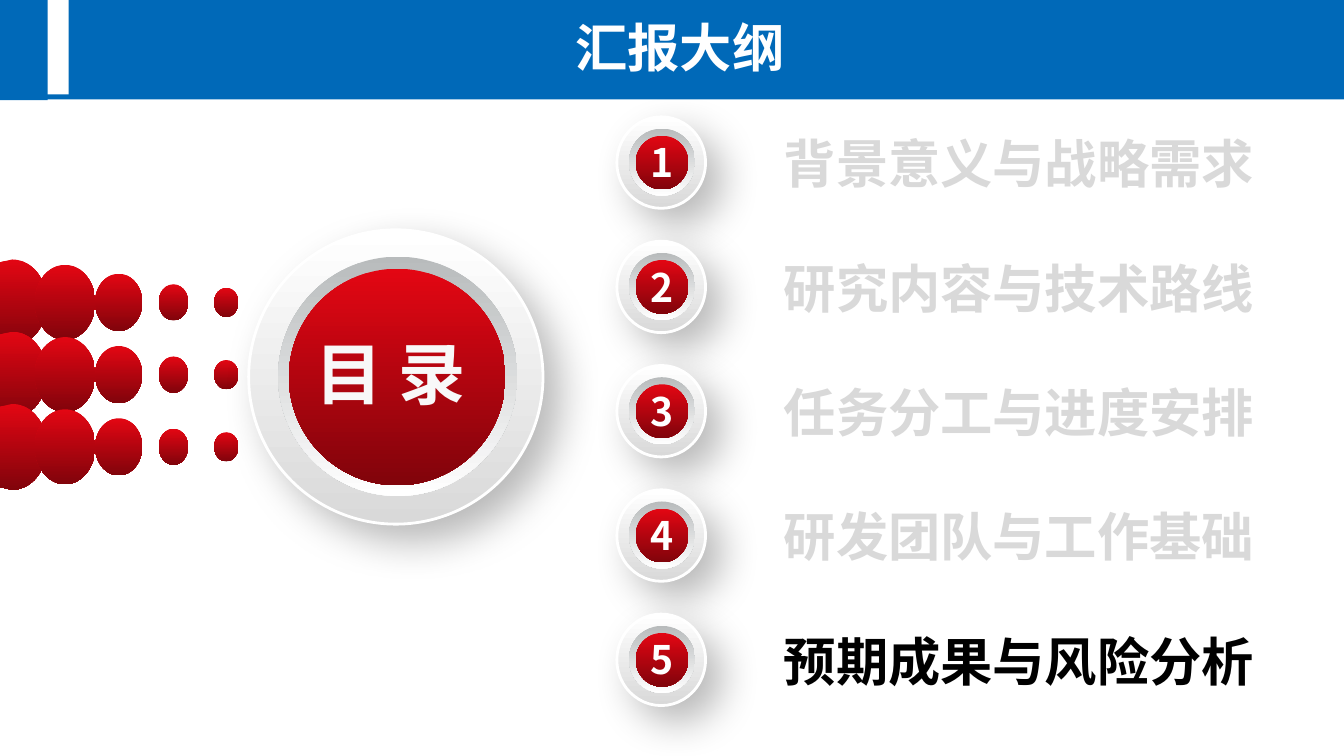
import math
import pptx
import pptx.util
import pptx.dml.color
import pptx.enum.shapes
import pptx.enum.text
import pptx.oxml
from pptx.oxml import ns

Pt = pptx.util.Pt
RGB = pptx.dml.color.RGBColor.from_string
SHAPE = pptx.enum.shapes.MSO_SHAPE
ALIGN = pptx.enum.text.PP_ALIGN

COLORS = {
    "blue": "0069B8",
    "red": "E30613",
    "dark_red": "81040B",
    "white": "FFFFFF",
    "off_white": "F8F8F8",
    "pale": "D9D9D9",
    "groove": "B8BBBC",
    "black": "000000",
}

presentation = pptx.Presentation()
presentation.slide_width = Pt(720)
presentation.slide_height = Pt(405)
slide = presentation.slides.add_slide(presentation.slide_layouts[6])


def add_text(text, box, size, color, font="Arial", align=ALIGN.LEFT, wrap=True, margin=None):
    shape = slide.shapes.add_textbox(*map(Pt, box))
    frame = shape.text_frame
    frame.word_wrap = wrap
    frame.vertical_anchor = pptx.enum.text.MSO_ANCHOR.MIDDLE
    if margin is not None:
        frame.margin_left = frame.margin_right = Pt(margin)
        frame.margin_top = frame.margin_bottom = Pt(margin)
    paragraph = frame.paragraphs[0]
    paragraph.alignment = align
    run = paragraph.add_run()
    run.text = text
    run.font.size = Pt(size)
    run.font.bold = True
    run.font.name = font
    run.font.color.rgb = RGB(COLORS[color])
    east_asian = run.font._element.makeelement(ns.qn("a:ea"), {"typeface": "Noto Sans CJK SC"})
    run.font._element.append(east_asian)


def paint(shape, top, bottom):
    shape.shadow.inherit = False
    shape.line.fill.background()
    if top == bottom:
        shape.fill.solid()
        shape.fill.fore_color.rgb = RGB(COLORS[top])
        return
    shape.fill.gradient()
    shape.fill.gradient_angle = 270
    for stop, color in zip(shape.fill.gradient_stops, (top, bottom)):
        stop.color.rgb = RGB(COLORS[color])


for box in [(0, 0, 25.5, 53.7), (0, 50.5, 720, 2.8), (36.7, 0, 683.3, 51)]:
    paint(slide.shapes.add_shape(SHAPE.RECTANGLE, *map(Pt, box)), "blue", "blue")
add_text("汇报大纲", (8.6, 4.3, 711.4, 41), 28, "white", align=ALIGN.CENTER)

DOTS = [(34.85, 32.4, 40.2), (63.6, 25.2, 30.6), (92.9, 15.8, 19.4), (121.2, 13, 15.6)]
for row in range(3):
    middle = 162 + 38.7 * row
    arc = []
    for degrees in range(-90, 91, 5):
        angle = math.radians(degrees)
        arc.append((6.5 + 18.7 * math.cos(angle), middle + 23 * math.sin(angle)))
    builder = slide.shapes.build_freeform(0, Pt(middle - 21.5))
    builder.add_line_segments([(Pt(x), Pt(y)) for x, y in arc + [(0, middle + 21.5)]])
    paint(builder.convert_to_shape(), "red", "dark_red")
    for center, width, height in DOTS:
        box = (center - width / 2, middle - height / 2, width, height)
        paint(slide.shapes.add_shape(SHAPE.OVAL, *map(Pt, box)), "red", "dark_red")

PITCH = 66.6
badges = [[(133.2, 123.1, 157.7, 157.7), (149, 137.5, 128.2, 128.2), (154.8, 144, 116, 116)]]
for index in range(5):
    top = 62.6 + PITCH * index
    badges.append([
        (330.5, top, 47.5, 49),
        (337, top + 6.3, 35.3, 36),
        (340.6, top + 10.1, 28.1, 28.8),
    ])

for ring_box, groove_box, core_box in badges:
    ring = slide.shapes.add_shape(SHAPE.OVAL, *map(Pt, ring_box))
    paint(ring, "white", "pale")
    ring.line.color.rgb = RGB(COLORS["white"])
    ring.line.width = Pt(1.5)
    effects = ring._element.spPr.find(ns.qn("a:effectLst"))
    effects.append(pptx.oxml.parse_xml(
        f'<a:outerShdw {ns.nsdecls("a")} blurRad="{Pt(22)}" dist="{Pt(12)}" dir="2700000" '
        f'algn="tl" rotWithShape="0"><a:srgbClr val="{COLORS["black"]}">'
        '<a:alpha val="28000"/></a:srgbClr></a:outerShdw>'
    ))
    groove = slide.shapes.add_shape(SHAPE.ROUNDED_RECTANGLE, *map(Pt, groove_box))
    groove.adjustments[0] = 0.5
    paint(groove, "groove", "white")
    paint(slide.shapes.add_shape(SHAPE.OVAL, *map(Pt, core_box)), "red", "dark_red")

add_text("目 录", (162, 174.2, 96.5, 51.1), 36, "off_white", wrap=False)

TOPICS = [
    "背景意义与战略需求",
    "研究内容与技术路线",
    "任务分工与进度安排",
    "研发团队与工作基础",
    "预期成果与风险分析",
]
for index, topic in enumerate(TOPICS):
    color = "black" if topic == TOPICS[-1] else "pale"
    offset = PITCH * index
    add_text(str(index + 1), (348.5, 74.2 + offset, 17.3, 25.2), 21, "white",
             font="Noto Sans CJK SC", margin=0)
    add_text(topic, (412.6, 66.8 + offset, 266.4, 41), 28, color, align=ALIGN.CENTER, wrap=False)

presentation.save("out.pptx")
